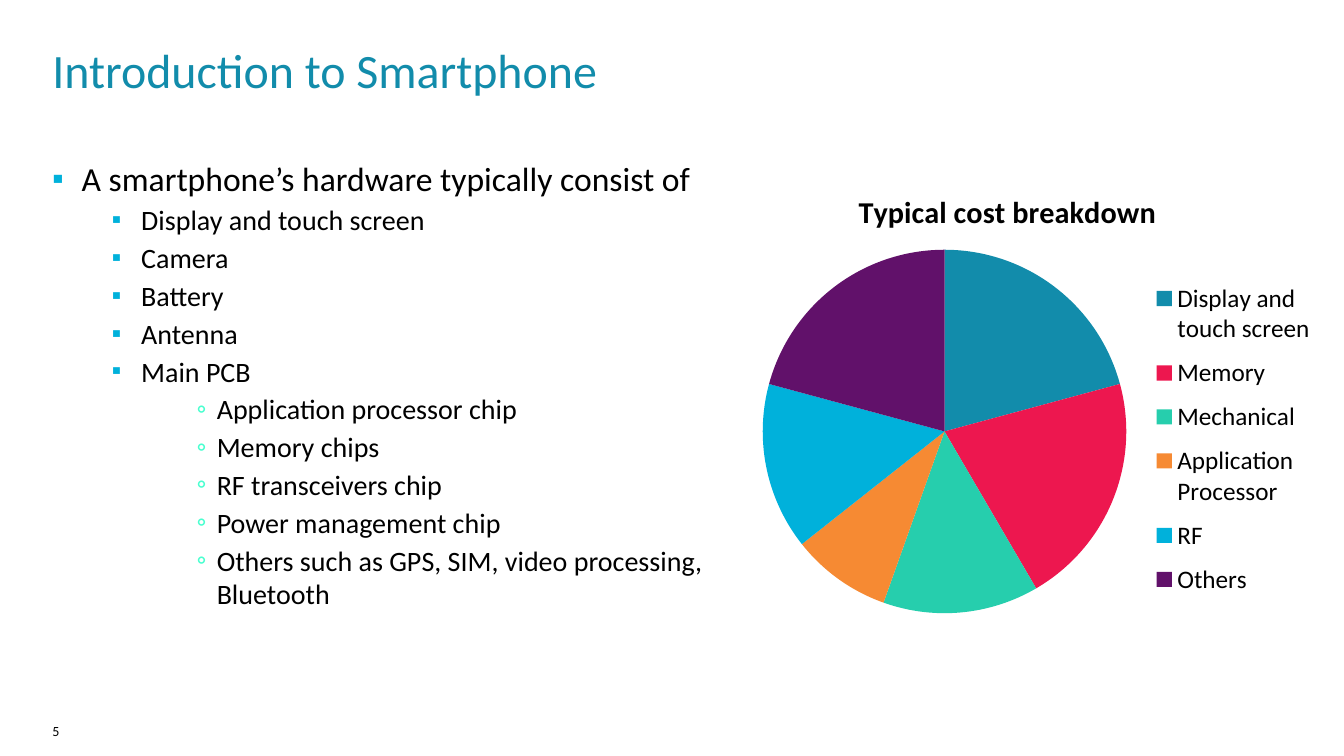
from dataclasses import dataclass

from lxml.etree import SubElement
from pptx import Presentation
from pptx.chart.data import CategoryChartData
from pptx.dml.color import RGBColor
from pptx.enum.chart import XL_CHART_TYPE as ChartType, XL_LEGEND_POSITION as LegendPos
from pptx.enum.text import MSO_ANCHOR as Anchor
from pptx.oxml import parse_xml
from pptx.oxml.ns import nsdecls, qn
from pptx.util import Inches, Pt

FONT = "Calibri"
COLORS = {
    "text": "000000", "teal": "128CAB", "red": "ED174F", "green": "26CEAD",
    "orange": "F68A33", "blue": "00B1DB", "purple": "61116A", "mint": "4AFFD0",
}


@dataclass(frozen=True)
class Level:
    depth: int
    size: float
    margin: float
    hanging: float
    bullet: str
    color: str
    bullet_size: int = 100


@dataclass(frozen=True)
class Slice:
    name: str
    value: int
    color: str


TOPIC = Level(0, 24, 0.29, 0.29, "▪", "blue", 95)
PART = Level(1, 20, 0.88, 0.29, "▪", "blue", 95)
CHIP = Level(5, 20, 1.63, 0.2, "◦", "mint")

OUTLINE = [
    (TOPIC, ["A smartphone’s hardware typically consist of"]),
    (PART, ["Display and touch screen", "Camera", "Battery", "Antenna", "Main PCB"]),
    (CHIP, ["Application processor chip", "Memory chips", "RF transceivers chip",
            "Power management chip",
            "Others such as GPS, SIM, video processing, Bluetooth"]),
]
COSTS = [
    Slice("Display and touch screen", 21, "teal"),
    Slice("Memory", 21, "red"),
    Slice("Mechanical", 14, "green"),
    Slice("Application Processor", 9, "orange"),
    Slice("RF", 15, "blue"),
    Slice("Others", 21, "purple"),
]


def style_font(font, size: float, color: str = "text", bold: bool = False) -> None:
    font.name = FONT
    font.size = Pt(size)
    font.bold = bold
    font.color.rgb = RGBColor.from_string(COLORS[color])


def add_box(s, left: float, top: float, width: float, height: float):
    tf = s.shapes.add_textbox(*map(Inches, (left, top, width, height))).text_frame
    tf.word_wrap = True
    tf.margin_left = tf.margin_top = tf.margin_right = tf.margin_bottom = 0
    return tf


def add_line(s, text: str, box: tuple, size: float, color: str, anchor) -> None:
    tf = add_box(s, *box)
    tf.text = text
    tf.vertical_anchor = anchor
    style_font(tf.paragraphs[0].runs[0].font, size, color)


def set_bullet(p, level: Level) -> None:
    p.level = level.depth
    p.space_before = Pt(3)
    pPr = p._p.get_or_add_pPr()
    pPr.set("marL", str(Inches(level.margin)))
    pPr.set("indent", str(-Inches(level.hanging)))
    SubElement(SubElement(pPr, qn("a:buClr")), qn("a:srgbClr"), val=COLORS[level.color])
    SubElement(pPr, qn("a:buSzPct"), val=str(level.bullet_size * 1000))
    SubElement(pPr, qn("a:buFont"), typeface=FONT)
    SubElement(pPr, qn("a:buChar"), char=level.bullet)


def add_outline(s) -> None:
    tf = add_box(s, 0.52, 1.57, 7.08, 5.62)
    lines = [(level, text) for level, texts in OUTLINE for text in texts]
    for i, (level, text) in enumerate(lines):
        p = tf.add_paragraph() if i else tf.paragraphs[0]
        p.text = text
        set_bullet(p, level)
        style_font(p.runs[0].font, level.size)


def place(element, index: int, inner: bool = False, **fractions: float) -> None:
    for old in element.findall(qn("c:layout")):
        element.remove(old)
    target = '<c:layoutTarget val="inner"/>' if inner else ""
    modes = "".join(f'<c:{k}Mode val="edge"/>' for k in "xy")
    values = "".join(f'<c:{k} val="{v}"/>' for k, v in fractions.items())
    element.insert(index, parse_xml(
        f'<c:layout {nsdecls("c")}><c:manualLayout>{target}{modes}{values}'
        "</c:manualLayout></c:layout>"))


def add_cost_chart(s) -> None:
    data = CategoryChartData()
    data.categories = [c.name for c in COSTS]
    data.add_series("Series 1", [c.value for c in COSTS])
    box = map(Inches, (7.44, 1.49, 5.67, 4.94))
    chart = s.shapes.add_chart(ChartType.PIE, *box, data).chart
    style_font(chart.font, 18)

    title = chart.chart_title
    title.text_frame.text = "Typical cost breakdown"
    style_font(title.text_frame.paragraphs[0].runs[0].font, 21.6, bold=True)
    place(title._element, 1, x=0.18, y=0.07)

    chart.has_legend = True
    chart.legend.position = LegendPos.RIGHT
    chart.legend.include_in_layout = False
    place(chart.legend._element, 1, x=0.7, y=0.24, w=0.29, h=0.68)

    plot = chart.plots[0]
    plot.vary_by_categories = True
    place(plot._element.getparent(), 0, inner=True, x=0.02, y=0.2, w=0.64, h=0.73)
    for i, cost in enumerate(COSTS):
        fill = plot.series[0].points[i].format.fill
        fill.solid()
        fill.fore_color.rgb = RGBColor.from_string(COLORS[cost.color])


def main() -> None:
    prs = Presentation()
    prs.slide_width, prs.slide_height = Inches(13.33), Inches(7.5)
    s = prs.slides.add_slide(prs.slide_layouts[6])
    add_line(s, "5", (0.52, 7.17, 1.42, 0.26), 10, "text", Anchor.TOP)
    add_line(s, "Introduction to Smartphone", (0.52, 0.37, 12.2, 0.63), 34.2, "teal",
             Anchor.MIDDLE)
    add_outline(s)
    add_cost_chart(s)
    prs.save("out.pptx")


if __name__ == "__main__":
    main()
